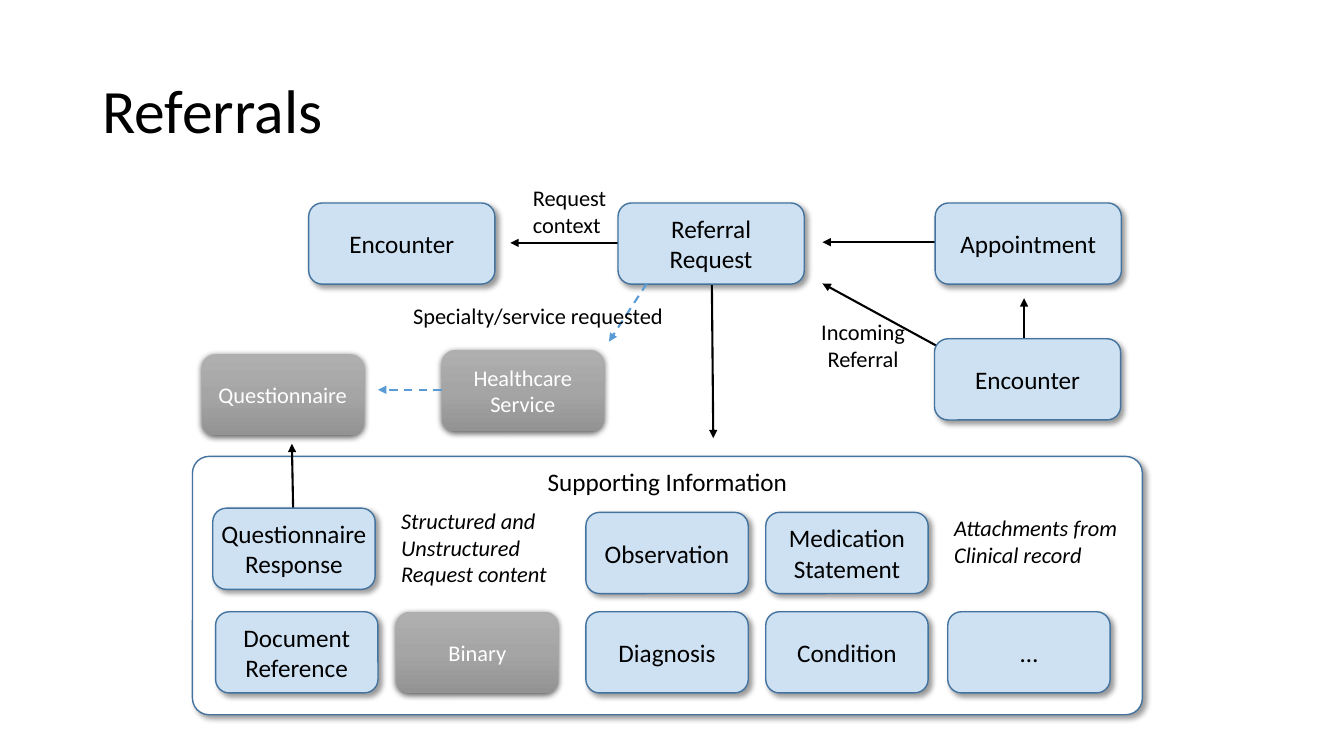
"""Builds the Referrals slide: how a referral request links to its context and supporting information."""
from copy import deepcopy

from lxml.etree import SubElement
from pptx import Presentation
from pptx.dml.color import RGBColor
from pptx.enum.dml import MSO_LINE
from pptx.enum.shapes import MSO_CONNECTOR, MSO_SHAPE
from pptx.enum.text import MSO_ANCHOR, PP_ALIGN
from pptx.oxml.ns import qn
from pptx.util import Pt

BLACK = RGBColor(0x00, 0x00, 0x00)
WHITE = RGBColor(0xFF, 0xFF, 0xFF)
PALE_BLUE = RGBColor(0xCE, 0xE1, 0xF2)
DARK_BLUE = RGBColor(0x43, 0x73, 0x9E)
MID_BLUE = RGBColor(0x5B, 0x9B, 0xD5)
GREYS = [RGBColor(0xAF, 0xAF, 0xAF), RGBColor(0xA5, 0xA5, 0xA5), RGBColor(0x93, 0x93, 0x93)]

TITLE = "Referrals"
TITLE_AREA = (66, 29, 828, 104)
PANEL = ("Supporting Information", (137.5, 326, 678.5, 184.5))

BOX_HEIGHT, WIDE, NARROW = 58, 133, 116
TOP_ROW, UPPER_ROW, LOWER_ROW = 145, 366, 437
COLUMNS = [154, 283, 418.5, 547, 677]

RESOURCES = [
    ("Encounter", 220.5, TOP_ROW, WIDE),
    ("Referral Request", 441.5, TOP_ROW, WIDE),
    ("Appointment", 668, TOP_ROW, WIDE),
    ("Encounter", 667.5, 242, WIDE),
    ("Questionnaire Response", 152, 363, NARROW),
    ("Observation", COLUMNS[2], UPPER_ROW, NARROW),
    ("Medication Statement", COLUMNS[3], UPPER_ROW, NARROW),
    ("Document Reference", COLUMNS[0], LOWER_ROW, NARROW),
    ("Diagnosis", COLUMNS[2], LOWER_ROW, NARROW),
    ("Condition", COLUMNS[3], LOWER_ROW, NARROW),
    ("…", COLUMNS[4], LOWER_ROW, NARROW),
]
SECONDARY = [
    ("Questionnaire", 144, 253, NARROW),
    ("Healthcare Service", 315.5, 250, NARROW),
    ("Binary", COLUMNS[1], LOWER_ROW, NARROW),
]
SOLID_ARROWS = [
    ((674.5, 250), (587.5, 202.5)),
    ((508.5, 202.5), (509.5, 313)),
    ((450.5, 173.5), (364.5, 173.5)),
    ((209.5, 368.5), (208.5, 317)),
    ((684, 173), (587.5, 173)),
    ((731.5, 249), (731.5, 213)),
]
DASHED_ARROWS = [
    ((315.5, 278.5), (270, 278.5)),
    ((462, 202.5), (435, 244)),
]
LEFT, CENTER = PP_ALIGN.LEFT, PP_ALIGN.CENTER
NOTES = [
    ("Request\ncontext", (373.5, 128, 68, 46), LEFT, False),
    ("Incoming\nReferral", (579, 224, 75, 46), CENTER, False),
    ("Specialty/service requested", (288, 212, 195, 27), LEFT, False),
    ("Structured and\nUnstructured\nRequest content", (279.5, 358.5, 122, 65.5), LEFT, True),
    ("Attachments from\nClinical record", (674.5, 363.5, 133, 65.5), LEFT, True),
]

MAIN_SHADOW = {"blurRad": Pt(4), "dist": Pt(3), "dir": 45 * 60000}
GREY_SHADOW = {"blurRad": Pt(4.5), "dist": Pt(1.5), "dir": 90 * 60000}


def apply(target, **values):
    for name, value in values.items():
        setattr(target, name, value)


def write(shape, text, size, color=BLACK, align=CENTER, italic=False):
    shape.text_frame.text = text
    for paragraph in shape.text_frame.paragraphs:
        paragraph.alignment = align
        apply(paragraph.font, name="Calibri", size=Pt(size), italic=italic)
        paragraph.font.color.rgb = color


def cast_shadow(shape, settings, opacity):
    shape.shadow.inherit = False
    effects = shape.element.spPr.find(qn("a:effectLst"))
    attributes = {name: str(int(value)) for name, value in settings.items()}
    outer = SubElement(effects, qn("a:outerShdw"), algn="ctr", rotWithShape="0", **attributes)
    tint = SubElement(outer, qn("a:srgbClr"), val=str(BLACK))
    SubElement(tint, qn("a:alpha"), val=str(opacity * 1000))


def add_box(shapes, area):
    return shapes.add_shape(MSO_SHAPE.ROUNDED_RECTANGLE, *map(Pt, area))


def add_outlined(shapes, text, area, fill):
    box = add_box(shapes, area)
    box.fill.solid()
    box.fill.fore_color.rgb = fill
    box.line.color.rgb = DARK_BLUE
    box.line.width = Pt(1)
    cast_shadow(box, MAIN_SHADOW, 40)
    write(box, text, 18)
    return box


def add_grey(shapes, text, area):
    box = add_box(shapes, area)
    box.fill.gradient()
    box.fill.gradient_angle = 270
    first_stop = box.element.spPr.find(".//" + qn("a:gs"))
    first_stop.addnext(deepcopy(first_stop))
    for stop, grey, position in zip(box.fill.gradient_stops, GREYS, (0, 0.5, 1)):
        stop.color.rgb = grey
        stop.position = position
    box.line.fill.background()
    cast_shadow(box, GREY_SHADOW, 63)
    write(box, text, 16, WHITE)


def add_arrow(shapes, start, end, color, dash=None):
    arrow = shapes.add_connector(MSO_CONNECTOR.STRAIGHT, *map(Pt, start + end))
    arrow.line.color.rgb = color
    apply(arrow.line, width=Pt(1.5), dash_style=dash)
    properties = arrow.element.spPr
    SubElement(properties.find(qn("a:ln")), qn("a:tailEnd"), type="triangle")
    SubElement(properties, qn("a:effectLst"))


def main():
    deck = Presentation()
    apply(deck, slide_width=Pt(960), slide_height=Pt(540))
    slide = deck.slides.add_slide(deck.slide_layouts[5])
    shapes = slide.shapes

    title = shapes.title
    apply(title, **dict(zip(("left", "top", "width", "height"), map(Pt, TITLE_AREA))))
    write(title, TITLE, 44, align=LEFT)
    title.text_frame.vertical_anchor = MSO_ANCHOR.MIDDLE
    title.text_frame.paragraphs[0].line_spacing = 0.9

    panel = add_outlined(shapes, *PANEL, WHITE)
    panel.adjustments[0] = 0.064
    panel.text_frame.vertical_anchor = MSO_ANCHOR.TOP

    for start, end in SOLID_ARROWS:
        add_arrow(shapes, start, end, BLACK)
    for text, left, top, width in RESOURCES:
        box = add_outlined(shapes, text, (left, top, width, BOX_HEIGHT), PALE_BLUE)
        if text == "Questionnaire Response":
            apply(box.text_frame, margin_left=Pt(3), margin_right=Pt(3))
    for text, left, top, width in SECONDARY:
        add_grey(shapes, text, (left, top, width, BOX_HEIGHT))
    for start, end in DASHED_ARROWS:
        add_arrow(shapes, start, end, MID_BLUE, MSO_LINE.DASH)
    for text, area, align, italic in NOTES:
        note = shapes.add_textbox(*map(Pt, area))
        note.text_frame.word_wrap = False
        write(note, text, 16, align=align, italic=italic)

    deck.save("out.pptx")


if __name__ == "__main__":
    main()
